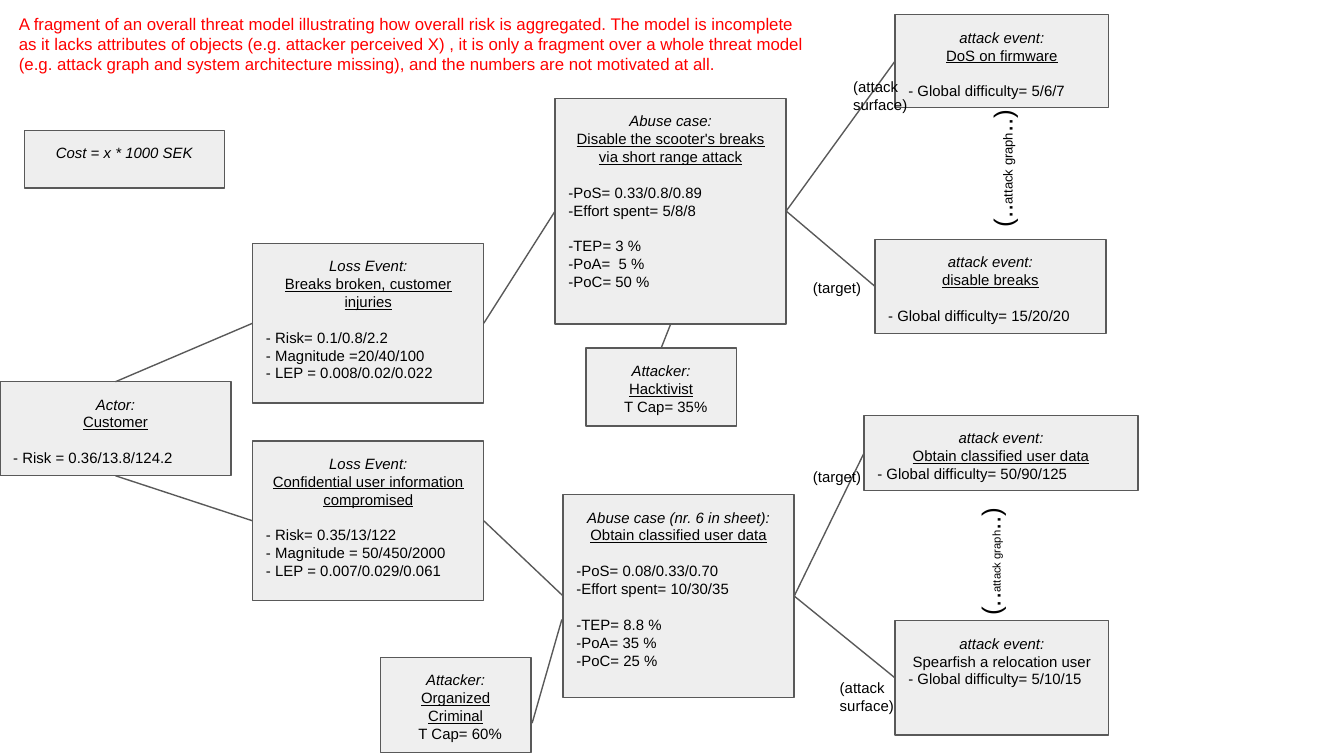
from lxml import etree
from pptx import Presentation
from pptx.dml.color import RGBColor
from pptx.enum import shapes, text
from pptx.oxml.ns import qn
from pptx.util import Pt

BLACK = RGBColor(0x00, 0x00, 0x00)
RED = RGBColor(0xFF, 0x00, 0x00)
GREY = RGBColor(0x59, 0x59, 0x59)
LIGHT = RGBColor(0xEE, 0xEE, 0xEE)
PALE = RGBColor(0xEF, 0xEF, 0xEF)

FONT, SIZE, INSET, GAP = "Arial", 8, 7.2, 9.6
CAP_INDENT = 13.3
WIDE, NARROW, EVENT = 123.8, 80.6, 114.5  # box widths
TOP, LEFT, BOTTOM, RIGHT = range(4)       # connection sites of a rectangle

# Content
TITLE = (
    "A fragment of an overall threat model illustrating how overall risk is "
    "aggregated. The model is incomplete as it lacks attributes of objects "
    "(e.g. attacker perceived X) , it is only a fragment over a whole threat "
    "model (e.g. attack graph and system architecture missing), and the "
    "numbers are not motivated at all."
)

# key: (left, top, width, height), kind, name, groups of attributes;
# a gap stands before each group, so an empty first group opens with one
BOXES = {
    "injuries": ((135.4, 130.3, WIDE, 85.7), "Loss Event:",
                 "Breaks broken, customer injuries",
                 [[], ["- Risk= 0.1/0.8/2.2", "- Magnitude =20/40/100",
                       "- LEP = 0.008/0.02/0.022"]]),
    "customer": ((0, 204.5, WIDE, 50.4), "Actor:", "Customer",
                 [[], ["- Risk = 0.36/13.8/124.2"]]),
    "leak": ((135.4, 236.2, WIDE, 85.7), "Loss Event:",
             "Confidential user information compromised",
             [[], ["- Risk= 0.35/13/122", "- Magnitude = 50/450/2000",
                   "- LEP = 0.007/0.029/0.061"]]),
    "obtain data": ((301.7, 265, WIDE, 108.7), "Abuse case (nr. 6 in sheet):",
                    "Obtain classified user data",
                    [[], ["-PoS= 0.08/0.33/0.70", "-Effort spent= 10/30/35"],
                     ["-TEP= 8.8 %", "-PoA= 35 %", "-PoC= 25 %"]]),
    "hacktivist": ((313.9, 186.5, NARROW, 41.8), "Attacker:", "Hacktivist",
                   [["T Cap= 35%"]]),
    "data event": ((462.9, 222.5, 146.9, 40.3), "attack event:",
                   "Obtain classified user data",
                   [["- Global difficulty= 50/90/125"]]),
    "spearfish": ((479.5, 332.6, EVENT, 61.2), "attack event:",
                  "Spearfish a relocation user",
                  [["- Global difficulty= 5/10/15"]]),
    "disable": ((297.4, 52.6, WIDE, 121), "Abuse case:",
                "Disable the scooter's breaks via short range attack",
                [[], ["-PoS= 0.33/0.8/0.89", "-Effort spent= 5/8/8"],
                 ["-TEP= 3 %", "-PoA=  5 %", "-PoC= 50 %"]]),
    "breaks event": ((468.7, 128.2, WIDE, 50.4), "attack event:",
                     "disable breaks",
                     [[], ["- Global difficulty= 15/20/20"]]),
    "firmware": ((479.5, 7.9, EVENT, 49.7), "attack event:",
                 "DoS on firmware", [[], ["- Global difficulty= 5/6/7"]]),
    "criminal": ((203.8, 352.1, NARROW, 51.1), "Attacker:",
                 "Organized Criminal", [["T Cap= 60%"]]),
    "cost": ((13, 69.8, 107.3, 31), "Cost = x * 1000 SEK", None, []),
}
PLAIN_NAMES = {"spearfish"}

LINKS = [
    ("customer", TOP, "injuries", LEFT),
    ("customer", BOTTOM, "leak", LEFT),
    ("injuries", RIGHT, "disable", LEFT),
    ("leak", RIGHT, "obtain data", LEFT),
    ("hacktivist", TOP, "disable", BOTTOM),
    ("disable", RIGHT, "firmware", LEFT),
    ("disable", RIGHT, "breaks event", LEFT),
    ("obtain data", RIGHT, "data event", LEFT),
    ("obtain data", RIGHT, "spearfish", LEFT),
]
CRIMINAL_LINE = (285.1, 387.4, 301, 331.9)

# (left, top, width, height), rotation, runs of (text, size)
LABELS = [
    ((428.4, 243.4, 43.9, 23), 0, [("(target)", SIZE)]),
    ((428.4, 141.8, 43.9, 23), 0, [("(target)", SIZE)]),
    ((442.8, 356.4, 50.4, 31), 0, [("(attack surface)", SIZE)]),
    ((450, 34.6, 50.4, 31), 0, [("(attack surface)", SIZE)]),
    ((488.9, 285.8, 77, 25.2), 270,
     [("(..", 14), ("attack graph", 6), ("..)", 14)]),
    ((497.5, 74.2, 78.5, 31), 270,
     [("(..", 14), ("attack graph", 7), ("..)", 14)]),
]


def pts(values):
    return [Pt(v) for v in values]


def set_frame(tf):
    tf.word_wrap = True
    tf.auto_size = text.MSO_AUTO_SIZE.NONE
    tf.vertical_anchor = text.MSO_ANCHOR.TOP
    tf.margin_left = tf.margin_right = Pt(INSET)
    tf.margin_top = tf.margin_bottom = Pt(INSET)


def style(r, size=SIZE, color=BLACK, italic=False, underline=False):
    r.font.name, r.font.size = FONT, Pt(size)
    r.font.color.rgb = color
    r.font.italic, r.font.underline = italic, underline


def add_line(p, line, align=text.PP_ALIGN.LEFT, **look):
    p.text, p.alignment = line, align
    style(p.runs[0], **look)


def add_box(s, key, place, kind, name, groups):
    sp = s.shapes.add_shape(shapes.MSO_SHAPE.RECTANGLE, *pts(place))
    sp.shadow.inherit = False
    sp.fill.solid()
    sp.fill.fore_color.rgb = PALE if kind == "Attacker:" else LIGHT
    sp.line.color.rgb, sp.line.width = GREY, Pt(0.75)
    tf = sp.text_frame
    set_frame(tf)
    center = text.PP_ALIGN.CENTER
    add_line(tf.paragraphs[0], kind, center, italic=True)
    if name:
        add_line(tf.add_paragraph(), name, center,
                 underline=key not in PLAIN_NAMES)
    for g, group in enumerate(groups):
        for i, line in enumerate(group):
            p = tf.add_paragraph()
            add_line(p, line)
            if g and not i:
                p.space_before = Pt(GAP)
            if kind == "Attacker:":
                p._p.get_or_add_pPr().set("marL", str(Pt(CAP_INDENT)))
    return sp


def add_link(s, ends=(0, 0, 0, 0)):
    c = s.shapes.add_connector(shapes.MSO_CONNECTOR.STRAIGHT, *pts(ends))
    c.line.color.rgb, c.line.width = GREY, Pt(0.75)
    etree.SubElement(c._element.spPr, qn("a:effectLst"))
    return c


def main():
    prs = Presentation()
    prs.slide_width, prs.slide_height = Pt(720), Pt(405)
    s = prs.slides.add_slide(prs.slide_layouts[5])

    # Heading
    title = s.shapes.title
    title.left, title.top, title.width, title.height = pts((2.9, 0, 440, 67))
    set_frame(title.text_frame)
    add_line(title.text_frame.paragraphs[0], TITLE, size=9, color=RED)

    # Boxes and the lines between them
    boxes = {key: add_box(s, key, *box) for key, box in BOXES.items()}
    for start, start_site, end, end_site in LINKS:
        c = add_link(s)
        c.begin_connect(boxes[start], start_site)
        c.end_connect(boxes[end], end_site)
    add_link(s, CRIMINAL_LINE)

    # Labels on the lines and between the attack events
    for place, rotation, runs in LABELS:
        sp = s.shapes.add_textbox(*pts(place))
        sp.rotation = rotation
        set_frame(sp.text_frame)
        for words, size in runs:
            r = sp.text_frame.paragraphs[0].add_run()
            r.text = words
            style(r, size)

    prs.save("out.pptx")


if __name__ == "__main__":
    main()
